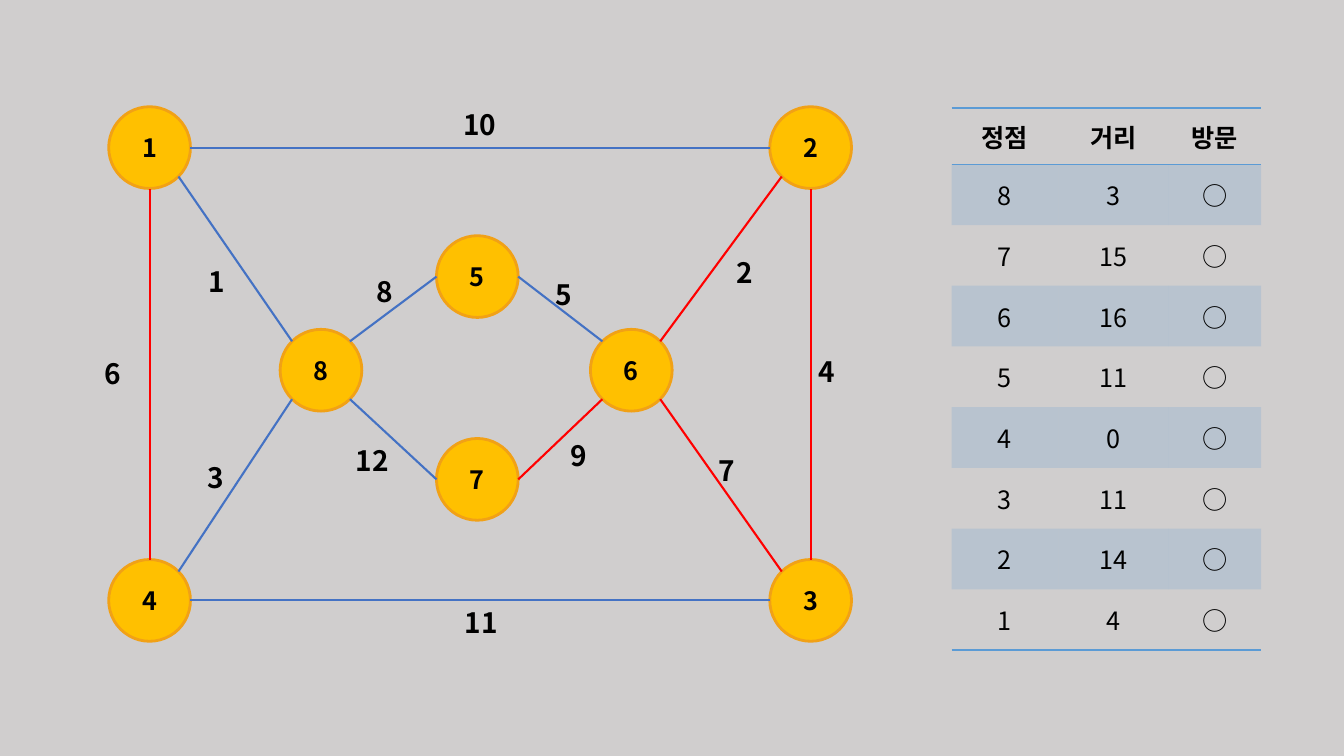
"""Draw a weighted graph beside its table of distances."""
import math

import lxml.etree
import pptx
import pptx.dml.color
import pptx.enum.shapes
import pptx.enum.text
import pptx.oxml.ns
import pptx.util

Cm = pptx.util.Cm
Pt = pptx.util.Pt
qn = pptx.oxml.ns.qn

FACE = "Noto Sans CJK KR"
BLACK, BLUE, RED, SKY = "000000", "4472C4", "FF0000", "5B9BD5"
GOLD, AMBER, GREY = "FFC000", "F1A116", "D0CECE"
NO_GRID = "{2D5ABB26-0587-4C30-8999-92F81FD0307C}"
HEAD = {"size": Pt(18), "bold": True, "name": FACE}
BODY = {"size": Pt(18), "bold": False, "name": FACE}
LABEL = {"size": Pt(20), "bold": True, "name": FACE}

SIZE = 2.06
LEFT, RIGHT, TOP, BASE = 3.77, 20.43, 3.72, 15.13
NODES = {
    1: (LEFT, TOP), 2: (RIGHT, TOP), 4: (LEFT, BASE), 3: (RIGHT, BASE),
    5: (12.03, 6.97), 7: (12.03, 12.08), 6: (15.91, 9.33), 8: (8.09, 9.33),
}
N, NW, W, SW, S, SE, E, NE = range(8)
EDGES = [
    (1, E, 2, W, BLUE, "10", 11.43, 2.59),
    (1, SE, 8, NW, BLUE, "1", 5, 6.53),
    (4, NE, 8, SW, BLUE, "3", 4.98, 11.48),
    (4, N, 1, S, RED, "6", 2.39, 8.86),
    (4, E, 3, W, BLUE, "11", 11.46, 15.14),
    (8, SE, 7, W, BLUE, "12", 8.71, 11.05),
    (8, NE, 5, W, BLUE, "8", 9.25, 6.78),
    (5, E, 6, NW, BLUE, "5", 13.74, 6.88),
    (6, SE, 3, NW, RED, "7", 17.86, 11.3),
    (6, NE, 2, SW, RED, "2", 18.31, 6.32),
    (3, N, 2, S, RED, "4", 20.37, 8.81),
    (7, E, 6, SW, RED, "9", 14.12, 10.92),
]
ROWS = [
    ("정점", "거리", "방문"),
    ("8", "3", "○"), ("7", "15", "○"), ("6", "16", "○"), ("5", "11", "○"),
    ("4", "0", "○"), ("3", "11", "○"), ("2", "14", "○"), ("1", "4", "○"),
]


def paint(fmt, tone):
    """Give a fill the solid colour of a hex string."""
    fmt.solid()
    fmt.fore_color.rgb = pptx.dml.color.RGBColor.from_string(tone)


def write(frame, text, form, align=None):
    """Put one formatted run into a text frame."""
    para = frame.paragraphs[0]
    para.alignment = align
    run = para.add_run()
    run.text = text
    for key, value in form.items():
        setattr(run.font, key, value)
    paint(run.font.fill, BLACK)
    lxml.etree.SubElement(run.font._element, qn("a:ea"), typeface=FACE)


def add_node(slide, num, mid):
    """Add a numbered circle around its centre."""
    left, top = (Cm(pos - SIZE / 2) for pos in mid)
    kind = pptx.enum.shapes.MSO_SHAPE.OVAL
    node = slide.shapes.add_shape(kind, left, top, Cm(SIZE), Cm(SIZE))
    node.shadow.inherit = False
    paint(node.fill, GOLD)
    paint(node.line.fill, AMBER)
    node.line.width = Pt(2)
    node.text_frame.vertical_anchor = pptx.enum.text.MSO_ANCHOR.MIDDLE
    write(node.text_frame, str(num), HEAD, pptx.enum.text.PP_ALIGN.CENTER)
    return node


def rim(num, site):
    """Find a joint on a circle, counted anticlockwise from its top."""
    turn = math.pi / 2 + site * math.pi / 4
    x, y = NODES[num]
    return (Cm(x + SIZE / 2 * math.cos(turn)),
            Cm(y - SIZE / 2 * math.sin(turn)))


def add_edge(slide, nodes, start, out, end, into, tone):
    """Link two circles with a line glued to their joints."""
    kind = pptx.enum.shapes.MSO_CONNECTOR.STRAIGHT
    edge = slide.shapes.add_connector(kind, *rim(start, out), *rim(end, into))
    paint(edge.line.fill, tone)
    edge.line.width = Pt(1.5)
    lxml.etree.SubElement(edge._element.spPr, qn("a:effectLst"))
    glue = edge._element.nvCxnSpPr.cNvCxnSpPr
    for tag, num, site in (("a:stCxn", start, out), ("a:endCxn", end, into)):
        lxml.etree.SubElement(glue, qn(tag), id=str(nodes[num].shape_id),
                              idx=str(site))


def add_label(slide, text, x, y):
    """Add the weight of an edge."""
    width = 0.47 + 0.44 * len(text)
    box = slide.shapes.add_textbox(Cm(x), Cm(y), Cm(width), Cm(1.11))
    box.text_frame.word_wrap = False
    write(box.text_frame, text, LABEL)


def add_rule(cell, tag):
    """Draw one thin border of a cell."""
    props = cell._tc.get_or_add_tcPr()
    rule = lxml.etree.Element(qn(tag), w=str(Pt(1)))
    fill = lxml.etree.SubElement(rule, qn("a:solidFill"))
    lxml.etree.SubElement(fill, qn("a:srgbClr"), val=SKY)
    props.insert(0, rule)


def fill_cell(cell, text, row):
    """Fill, rule and write one cell by its row."""
    cell.vertical_anchor = pptx.enum.text.MSO_ANCHOR.MIDDLE
    form = BODY if row else HEAD
    write(cell.text_frame, text, form, pptx.enum.text.PP_ALIGN.CENTER)
    if row % 2:
        paint(cell.fill, SKY)
        tint = cell._tc.tcPr.find(".//" + qn("a:srgbClr"))
        lxml.etree.SubElement(tint, qn("a:alpha"), val="20000")
    else:
        cell.fill.background()
    if row in (0, len(ROWS) - 1):
        add_rule(cell, "a:lnB")
    if row == 0:
        add_rule(cell, "a:lnT")


def add_chart_table(slide, widths, heights):
    """Add the table of distances."""
    frame = slide.shapes.add_table(
        len(ROWS), len(widths), Cm(23.98), Cm(2.72),
        Cm(sum(widths)), Cm(sum(heights)))
    table = frame.table
    table._tbl.tblPr.find(qn("a:tableStyleId")).text = NO_GRID
    table.horz_banding = False
    for col, width in zip(table.columns, widths):
        col.width = Cm(width)
    for row, height in enumerate(heights):
        table.rows[row].height = Cm(height)
        for col, text in enumerate(ROWS[row]):
            fill_cell(table.cell(row, col), text, row)


def main():
    """Build the slide and save it."""
    deck = pptx.Presentation()
    deck.slide_width, deck.slide_height = Cm(33.87), Cm(19.05)
    slide = deck.slides.add_slide(deck.slide_layouts[6])
    paint(slide.background.fill, GREY)
    add_chart_table(slide, [2.69, 2.77, 2.34], [1.42] + [1.53] * 8)
    nodes = {num: add_node(slide, num, mid) for num, mid in NODES.items()}
    for *ends, text, x, y in EDGES:
        add_edge(slide, nodes, *ends)
        add_label(slide, text, x, y)
    deck.save("out.pptx")


if __name__ == "__main__":
    main()
